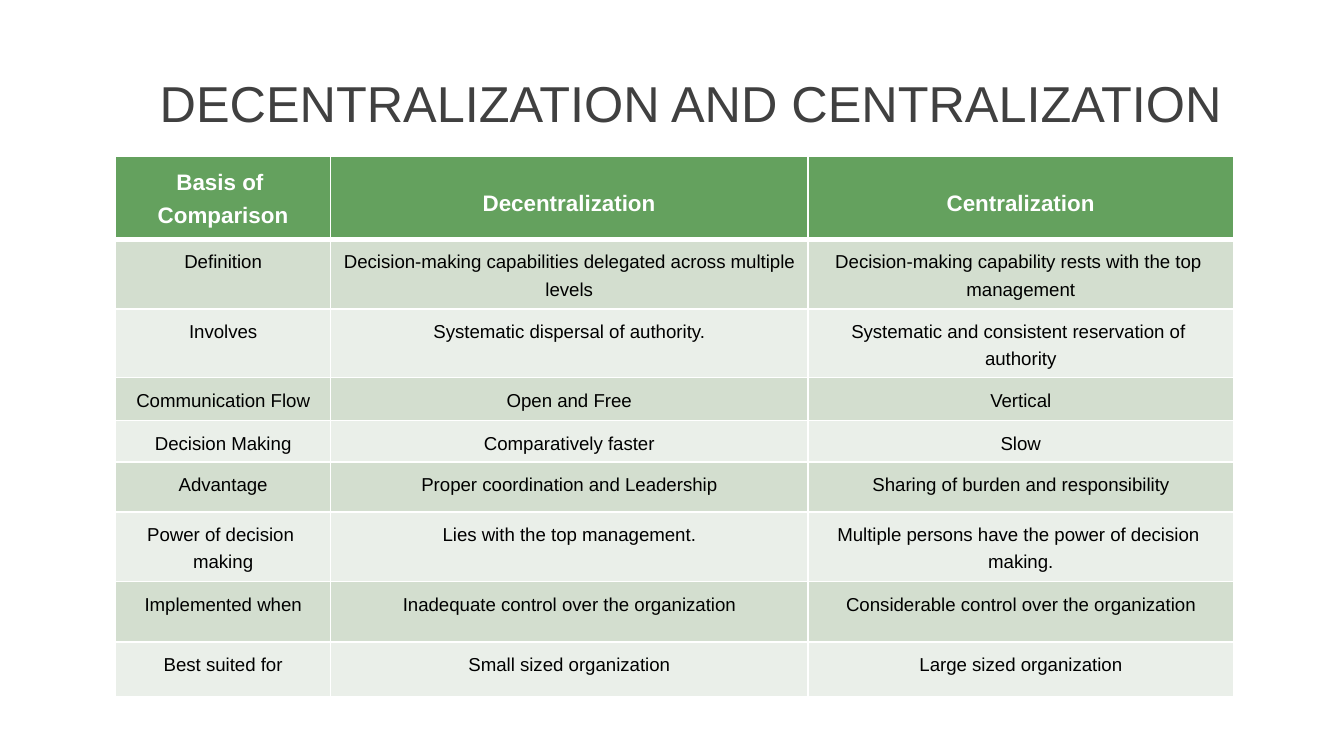
import pptx
import pptx.dml.color
import pptx.enum.text
import pptx.oxml
import pptx.oxml.ns
import pptx.util

WIDTH = 10
HEIGHT = WIDTH * 9 / 16
FONT = "Arial"
COLORS = {
    "title": "404040",
    "header": "64A15E",
    "band_dark": "D3DECF",
    "band_light": "EAEFE9",
    "text": "000000",
    "white": "FFFFFF",
}
COLUMN_WIDTHS = [1.6, 3.55, 3.17]
ROW_HEIGHTS = [0.62, 0.52, 0.51, 0.32, 0.31, 0.37, 0.52, 0.45, 0.41]
ROWS = [
    ("Basis of \nComparison", "Decentralization", "Centralization"),
    ("Definition",
     "Decision-making capabilities delegated across multiple levels",
     "Decision-making capability rests with the top \nmanagement"),
    ("Involves", "Systematic dispersal of authority.",
     "Systematic and consistent reservation of \nauthority"),
    ("Communication Flow", "Open and Free", "Vertical"),
    ("Decision Making", "Comparatively faster", "Slow"),
    ("Advantage", "Proper coordination and Leadership",
     "Sharing of burden and responsibility"),
    ("Power of decision \nmaking", "Lies with the top management.",
     "Multiple persons have the power of decision \nmaking."),
    ("Implemented when", "Inadequate control over the organization",
     "Considerable control over the organization"),
    ("Best suited for", "Small sized organization", "Large sized organization"),
]


def rgb(name):
    return pptx.dml.color.RGBColor.from_string(COLORS[name])


def format_text(frame, size, color, bold=False, spacing=1.0):
    for para in frame.paragraphs:
        para.alignment = pptx.enum.text.PP_ALIGN.CENTER
        para.line_spacing = spacing
        para.font.name = FONT
        para.font.size = pptx.util.Pt(size)
        para.font.bold = bold
        para.font.color.rgb = rgb(color)


def set_borders(cell, bottom, top):
    """Draw white cell edges; the side edges are 1 point wide."""
    properties = cell._tc.get_or_add_tcPr()
    edges = {"lnL": 1, "lnR": 1, "lnT": top, "lnB": bottom}
    for position, (tag, points) in enumerate(edges.items()):
        line = pptx.oxml.parse_xml(
            f'<a:{tag} {pptx.oxml.ns.nsdecls("a")} w="{pptx.util.Pt(points)}">'
            f'<a:solidFill><a:srgbClr val="{COLORS["white"]}"/></a:solidFill>'
            f'</a:{tag}>')
        properties.insert(position, line)


def place_title(page, box, text):
    title = page.shapes.title
    title.left, title.top, title.width, title.height = map(pptx.util.Inches, box)
    frame = title.text_frame
    frame.text = text
    frame.word_wrap = True
    frame.auto_size = pptx.enum.text.MSO_AUTO_SIZE.NONE
    frame.vertical_anchor = pptx.enum.text.MSO_ANCHOR.MIDDLE
    format_text(frame, 27, "title")


def format_cell(cell, row_number):
    is_header = row_number == 0
    cell.margin_left = cell.margin_right = pptx.util.Inches(0.08)
    if is_header:
        fill = "header"
        if len(cell.text_frame.paragraphs) == 1:
            cell.vertical_anchor = pptx.enum.text.MSO_ANCHOR.MIDDLE
            cell.margin_top = pptx.util.Inches(0.08)
        format_text(cell.text_frame, 12, "white", bold=True, spacing=1.3)
    else:
        fill = "band_dark" if row_number % 2 else "band_light"
        format_text(cell.text_frame, 10, "text", spacing=1.3)
    cell.fill.solid()
    cell.fill.fore_color.rgb = rgb(fill)
    set_borders(cell, bottom=3 if is_header else 1, top=3 if row_number == 1 else 1)


def place_comparison(page, box):
    """Fill the box with the table, sharing it out by column and row sizes."""
    left, top, width, height = box
    table = page.shapes.add_table(
        len(ROWS), len(COLUMN_WIDTHS), *map(pptx.util.Inches, box)).table
    for column, share in zip(table.columns, COLUMN_WIDTHS):
        column.width = pptx.util.Inches(width * share / sum(COLUMN_WIDTHS))
    for row, share in zip(table.rows, ROW_HEIGHTS):
        row.height = pptx.util.Inches(height * share / sum(ROW_HEIGHTS))
    for row_number, texts in enumerate(ROWS):
        for column_number, text in enumerate(texts):
            cell = table.cell(row_number, column_number)
            cell.text = text
            format_cell(cell, row_number)


def main():
    deck = pptx.Presentation()
    deck.slide_width = pptx.util.Inches(WIDTH)
    deck.slide_height = pptx.util.Inches(HEIGHT)
    page = deck.slides.add_slide(deck.slide_layouts[5])
    place_title(page, (0.14, 0.08 * HEIGHT, WIDTH, 0.63),
                "DECENTRALIZATION AND CENTRALIZATION")
    place_comparison(page, (0.86, 1.16, sum(COLUMN_WIDTHS), sum(ROW_HEIGHTS)))
    deck.save("out.pptx")


if __name__ == "__main__":
    main()
